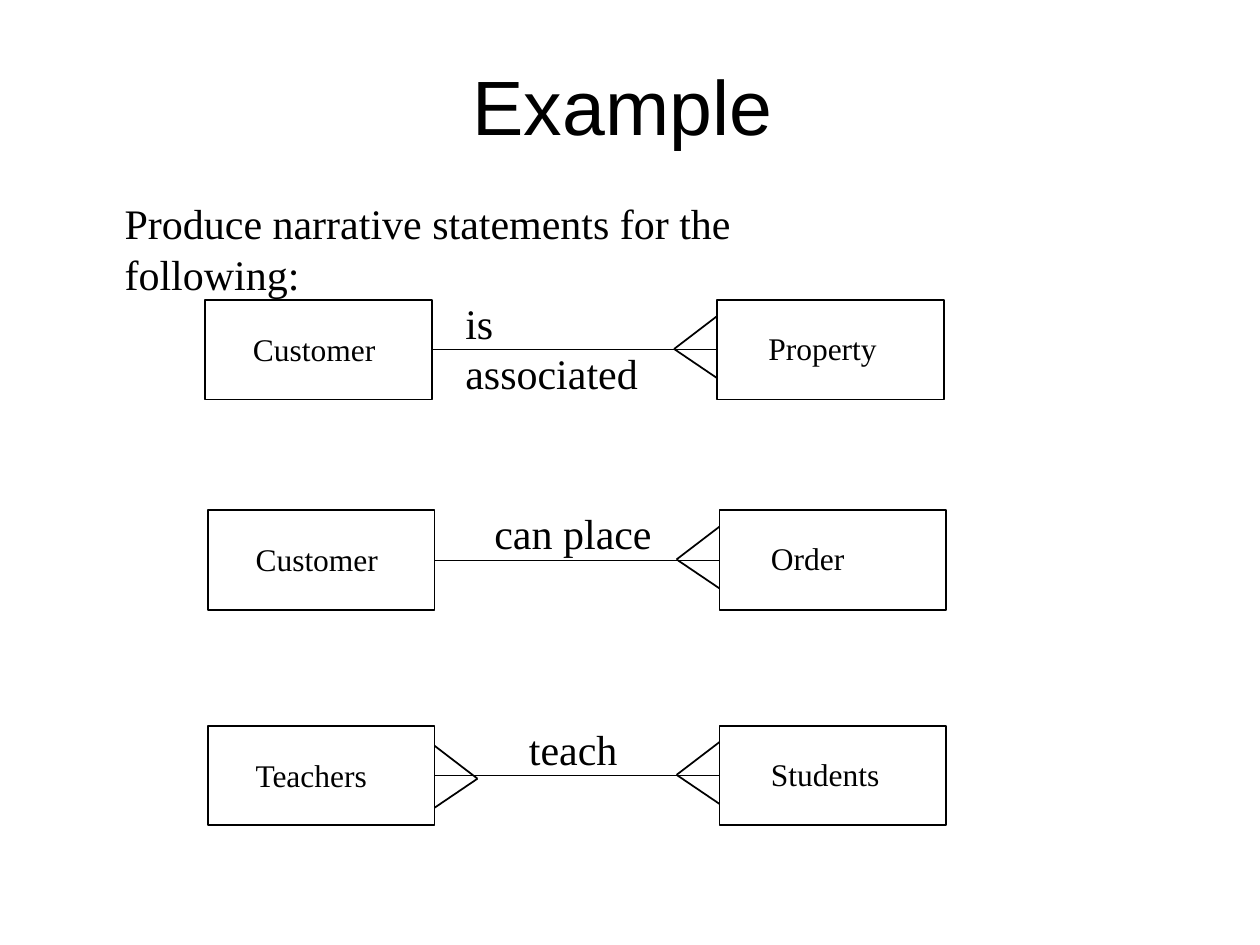
from pptx import Presentation
from pptx.dml.color import RGBColor
from pptx.enum.shapes import MSO_CONNECTOR as CONNECTOR, MSO_SHAPE as SHAPE
from pptx.enum.text import MSO_ANCHOR as ANCHOR, MSO_AUTO_SIZE as AUTO_SIZE, PP_ALIGN as ALIGN
from pptx.oxml.ns import qn
from pptx.util import Inches, Pt
from lxml import etree

# Content: each entity is (name, text width), each label (text, width)
TITLE = "Example"
PROMPT = "Produce narrative statements for the following:"
RELATIONSHIPS = [
    {"at": (1.63, 2.38), "entities": [("Customer", 1.17), ("Property", 1.06)],
     "label": ("is associated", 1.87), "line": 0.25, "many_left": False},
    {"at": (1.65, 4.05), "entities": [("Customer", 1.17), ("Order", 0.78)],
     "label": ("can place", 1.45), "line": 0.25, "many_left": False},
    {"at": (1.65, 5.76), "entities": [("Teachers", 1.1), ("Students", 1.06)],
     "label": ("teach", 0.9), "line": 1, "many_left": True},
]

# Layout
BOX_WIDTH, BOX_HEIGHT = 1.8, 0.79
COLUMN_STEP = 4.06
NAME_OFFSETS = [(0.28, 0.19), (0.31, 0.18)]
LABEL_CENTRE, LABEL_RISE = 2.9, 0.07
FOOT_LENGTH = 0.34
FOOT_HEIGHTS = (0.13, 0.39, 0.62)
LEFT_FOOT_DROP = 0.03
BLACK, WHITE = "000000", "FFFFFF"
SERIF = {"name": "Times New Roman", "size": Pt(24)}
SMALL_SERIF = {**SERIF, "size": Pt(18)}
SANS = {"name": "Arial", "size": Pt(44)}

presentation = Presentation()
presentation.slide_width, presentation.slide_height = Inches(10), Inches(7.5)
slide = presentation.slides.add_slide(presentation.slide_layouts[6])


def color(value):
    return RGBColor.from_string(value)


def add_text(text, left, top, width, height, font, heading=False):
    shape = slide.shapes.add_textbox(*map(Inches, (left, top, width, height)))
    frame = shape.text_frame
    frame.word_wrap = heading
    frame.auto_size = AUTO_SIZE.NONE if heading else AUTO_SIZE.SHAPE_TO_FIT_TEXT
    frame.vertical_anchor = ANCHOR.BOTTOM if heading else ANCHOR.TOP
    paragraph = frame.paragraphs[0]
    paragraph.alignment = ALIGN.CENTER if heading else ALIGN.LEFT
    run = paragraph.add_run()
    run.text = text
    for name, value in font.items():
        setattr(run.font, name, value)
    run.font.color.rgb = color(BLACK)


def add_box(left, top):
    shape = slide.shapes.add_shape(
        SHAPE.RECTANGLE, *map(Inches, (left, top, BOX_WIDTH, BOX_HEIGHT)))
    shape.shadow.inherit = False
    shape.fill.solid()
    shape.fill.fore_color.rgb = color(WHITE)
    shape.line.color.rgb = color(BLACK)
    shape.line.width = Pt(1)
    return shape


def add_line(start, end, width=1):
    line = slide.shapes.add_connector(CONNECTOR.STRAIGHT, *map(Inches, (*start, *end)))
    line.line.color.rgb = color(BLACK)
    line.line.width = Pt(width)
    etree.SubElement(line._element.spPr, qn("a:effectLst"))
    return line


def add_crows_foot(side, top, direction):
    upper, middle, lower = (top + height for height in FOOT_HEIGHTS)
    tip = (side + direction * FOOT_LENGTH, middle)
    add_line((side, upper), tip)
    add_line(tip, (side, lower))


# Heading and instruction
add_text(TITLE, 0.34, 0.29, 9.2, 0.96, SANS, heading=True)
add_text(PROMPT, 0.89, 1.52, 6.48, 0.9, SERIF)

# Entity relationships
for relationship in RELATIONSHIPS:
    left, top = relationship["at"]
    right = left + COLUMN_STEP
    middle = top + BOX_HEIGHT / 2
    source, target = add_box(left, top), add_box(right, top)

    link = add_line((left + BOX_WIDTH, middle), (right, middle), relationship["line"])
    link.begin_connect(source, 3)
    link.end_connect(target, 1)

    add_crows_foot(right, top, -1)
    if relationship["many_left"]:
        add_crows_foot(left + BOX_WIDTH, top + LEFT_FOOT_DROP, 1)

    for column, (name, width) in enumerate(relationship["entities"]):
        across, down = NAME_OFFSETS[column]
        add_text(name, left + column * COLUMN_STEP + across, top + down,
                 width, 0.4, SMALL_SERIF)

    label, width = relationship["label"]
    add_text(label, left + LABEL_CENTRE - width / 2, top - LABEL_RISE, width, 0.5, SERIF)

presentation.save("out.pptx")
